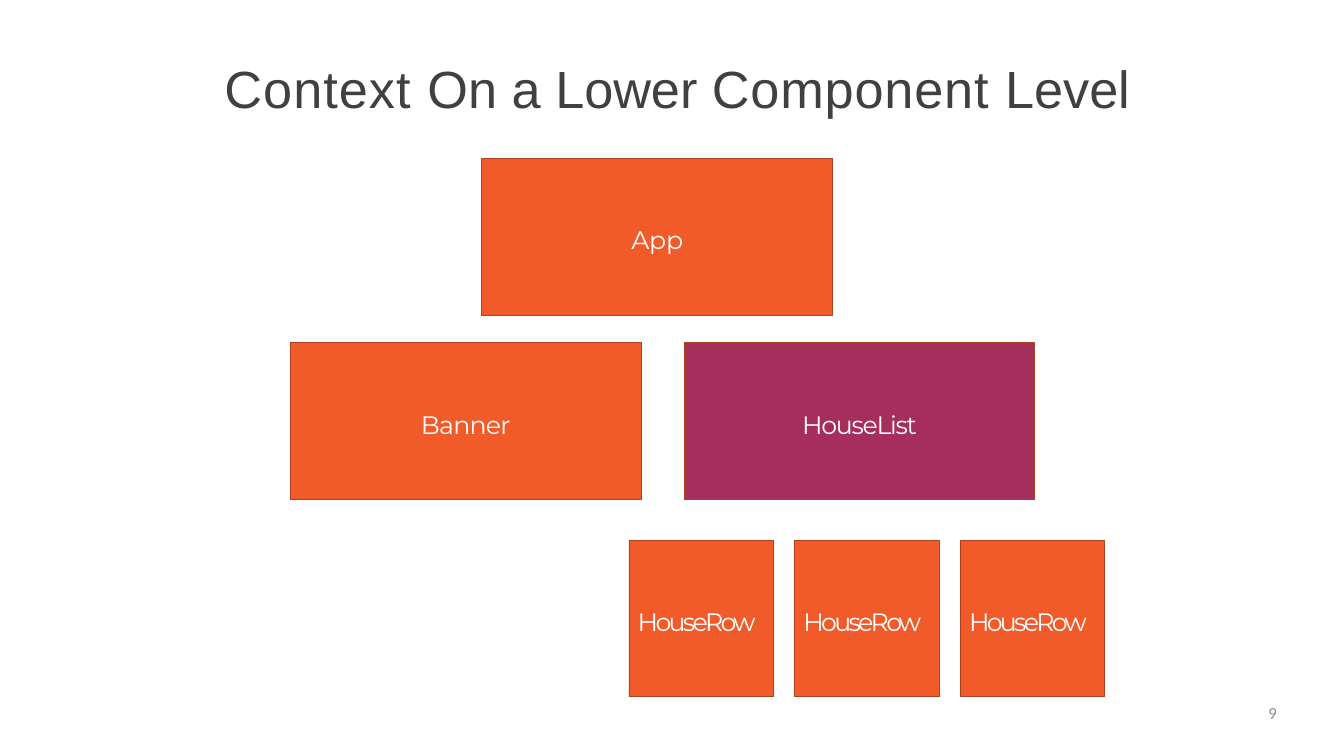
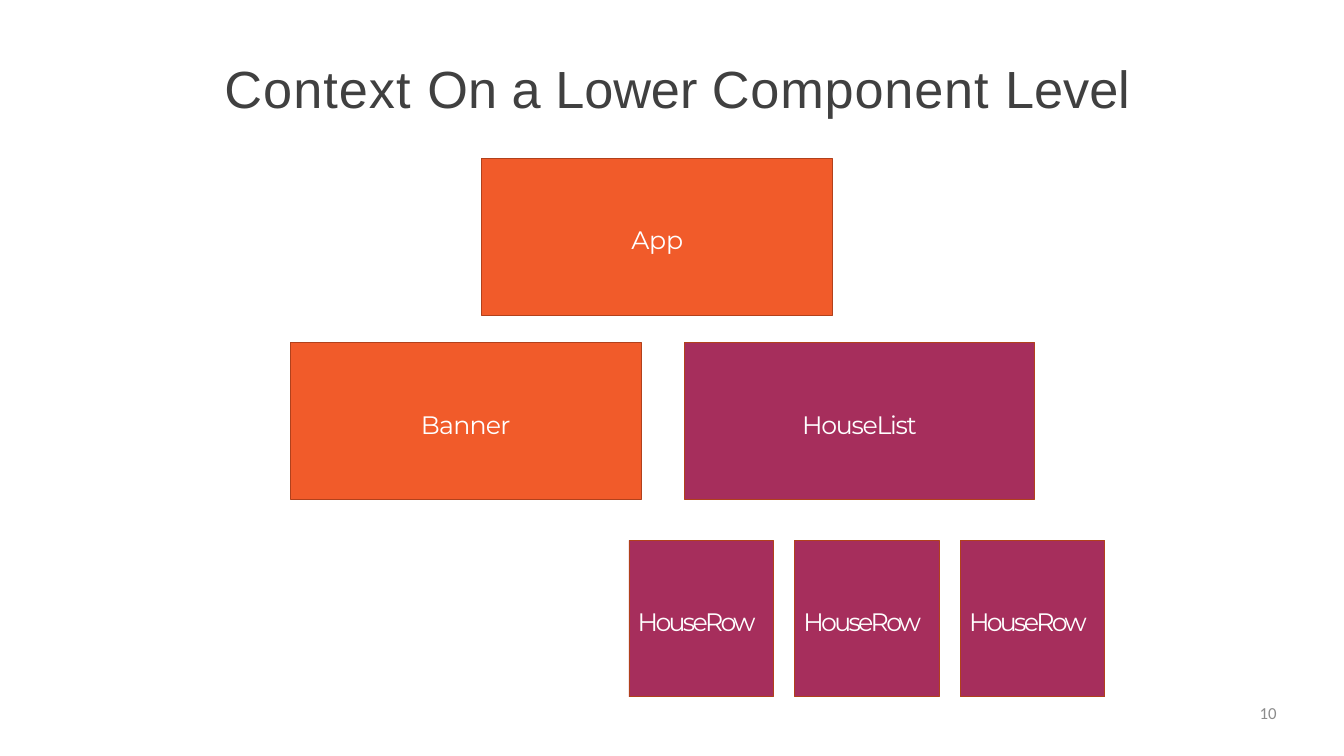
from pptx import Presentation
from pptx.dml.color import RGBColor
from pptx.enum.shapes import MSO_SHAPE
from pptx.enum.text import MSO_ANCHOR, MSO_AUTO_SIZE, PP_ALIGN
from pptx.util import Inches, Pt

# Colours
ORANGE = RGBColor(0xF1, 0x5B, 0x2A)
PLUM = RGBColor(0xA6, 0x2E, 0x5C)
RUST = RGBColor(0xB1, 0x41, 0x1C)
WHITE = RGBColor(0xFF, 0xFF, 0xFF)
DARK = RGBColor(0x40, 0x40, 0x40)
GREY = RGBColor(0x8C, 0x8C, 0x8C)

# Title words with their letter spacing in points
TITLE = [("Context ", 1.1), ("On a ", 0), ("Lower ", -0.1),
         ("Component ", 0.9), ("Level", -0.1)]

# Component boxes
WIDE, SMALL, HIGH = 5.22, 2.15, 2.33
ROW_X, ROW_Y, STEP = 9.36, 8.04, 2.465


def set_frame(frame, anchor, left=0, top=0):
    frame.auto_size = MSO_AUTO_SIZE.NONE
    frame.word_wrap = True
    frame.vertical_anchor = anchor
    frame.margin_left, frame.margin_top = Inches(left), Inches(top)
    frame.margin_right = frame.margin_bottom = 0


def set_font(para, name, size, color, align):
    para.alignment = align
    para.font.name, para.font.size = name, Pt(size)
    para.font.color.rgb = color


def add_run(para, text, gap=0):
    run = para.add_run()
    run.text = text
    run.font._element.set("spc", str(round(gap * 100)))


def add_title(slide):
    title = slide.shapes.title
    title.left, title.top = Inches(3.03), Inches(0.82)
    title.width, title.height = Inches(13.94), Inches(0.96)
    set_frame(title.text_frame, MSO_ANCHOR.TOP, left=0.31, top=0.02)
    para = title.text_frame.paragraphs[0]
    set_font(para, "Arial", 56, DARK, PP_ALIGN.LEFT)
    for text, gap in TITLE:
        add_run(para, text, gap)


def add_box(slide, text, x, y, width, fill, gap,
            align=PP_ALIGN.CENTER, inset=0):
    box = slide.shapes.add_shape(MSO_SHAPE.RECTANGLE, Inches(x), Inches(y),
                                 Inches(width), Inches(HIGH))
    box.shadow.inherit = False
    box.fill.solid()
    box.fill.fore_color.rgb = fill
    box.line.color.rgb, box.line.width = RUST, Pt(1)
    set_frame(box.text_frame, MSO_ANCHOR.MIDDLE, left=inset, top=0.09)
    para = box.text_frame.paragraphs[0]
    set_font(para, "Montserrat", 27, WHITE, align)
    add_run(para, text, gap)


def add_number(slide, number):
    box = slide.shapes.add_textbox(Inches(14.4), Inches(10.46),
                                   Inches(4.6), Inches(0.56))
    set_frame(box.text_frame, MSO_ANCHOR.TOP)
    para = box.text_frame.paragraphs[0]
    para.text = str(number)
    set_font(para, "Calibri", 18, GREY, PP_ALIGN.RIGHT)


def add_tree(deck, number, row_fill):
    slide = deck.slides.add_slide(deck.slide_layouts[5])
    add_title(slide)
    add_box(slide, "App", 7.17, 2.36, WIDE, ORANGE, -0.2)
    add_box(slide, "Banner", 4.32, 5.1, WIDE, ORANGE, -0.8)
    add_box(slide, "HouseList", 10.18, 5.1, WIDE, PLUM, -1.4)
    for i in range(3):
        add_box(slide, "HouseRow", ROW_X + i * STEP, ROW_Y, SMALL, row_fill,
                -2.9, PP_ALIGN.LEFT, 0.13)
    add_number(slide, number)


def main():
    deck = Presentation()
    deck.slide_width, deck.slide_height = Inches(20), Inches(11.25)
    # The context reaches the rows on the second slide
    for number, fill in enumerate((ORANGE, PLUM), start=9):
        add_tree(deck, number, fill)
    deck.save("out.pptx")


if __name__ == "__main__":
    main()
